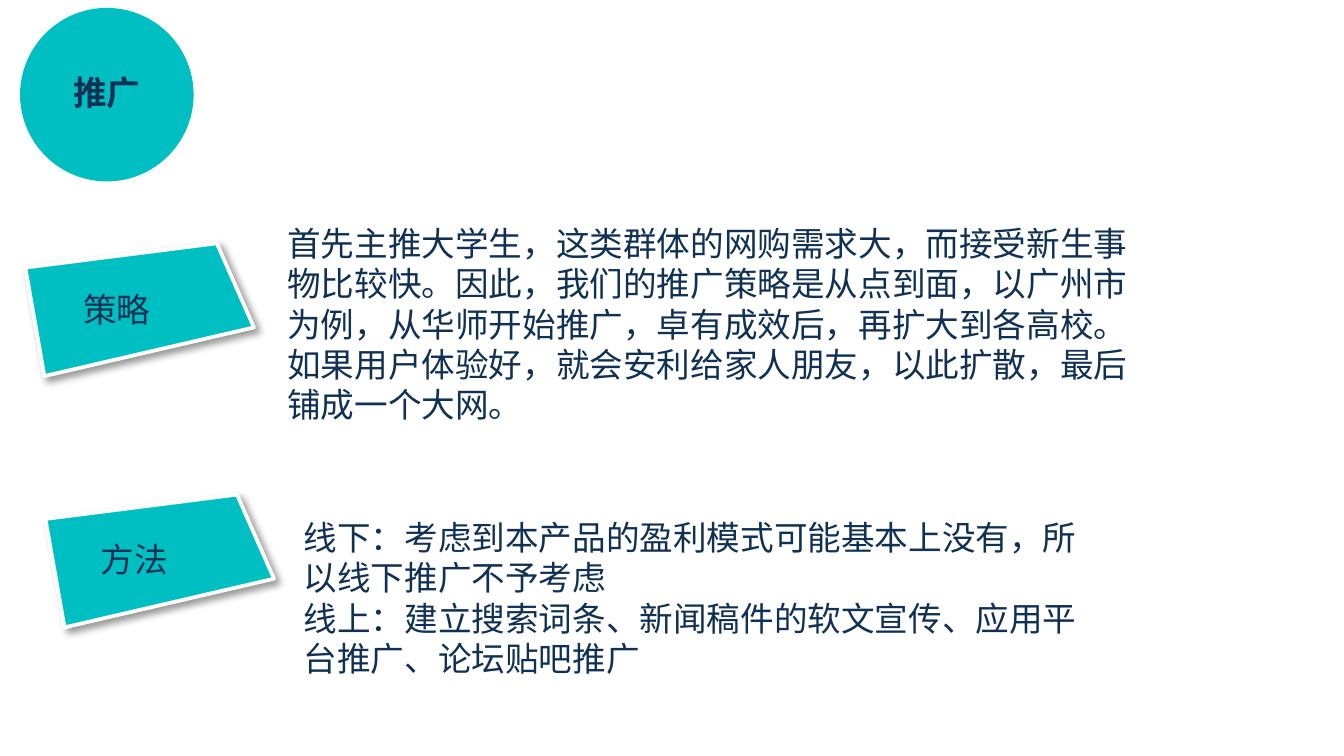
from lxml import etree
from pptx import Presentation
from pptx.dml.color import RGBColor
from pptx.enum.shapes import MSO_SHAPE
from pptx.enum.text import MSO_ANCHOR, PP_ALIGN
from pptx.oxml.ns import qn
from pptx.util import Cm, Pt

# Content: positions and sizes in cm
COLORS = {"teal": "00BFC3", "navy": "103154", "white": "FFFFFF", "black": "000000"}
TITLE = "推广"
ROWS = [
    {"tag": (0.48, 4.6), "name": "策略", "label": (1.32, 5.33, 2.34, 1.02),
     "body": (5.18, 4.09, 16.56, 4.11),
     "lines": ["首先主推大学生，这类群体的网购需求大，而接受新生事物比较快。"
               "因此，我们的推广策略是从点到面，以广州市为例，从华师开始推广，"
               "卓有成效后，再扩大到各高校。如果用户体验好，就会安利给家人朋友，"
               "以此扩散，最后铺成一个大网。"]},
    {"tag": (0.86, 9.35), "name": "方法", "label": (1.65, 10.06, 2.44, 1.02),
     "body": (5.49, 9.65, 15.11, 3.33),
     "lines": ["线下：考虑到本产品的盈利模式可能基本上没有，所以线下推广不予考虑",
               "线上：建立搜索词条、新闻稿件的软文宣传、应用平台推广、论坛贴吧推广"]},
]
OUTLINE = [(0, 0.46), (3.62, 0), (4.32, 1.59), (0.36, 2.51)]


def color(name):
    return RGBColor.from_string(COLORS[name])


def paint(shape):
    shape.shadow.inherit = False
    shape.fill.solid()
    shape.fill.fore_color.rgb = color("teal")


def write(frame, lines, face="Quicksand", bold=False):
    frame.word_wrap = True
    frame.text = "\n".join(lines)
    for para in frame.paragraphs:
        font = para.font
        font.name, font.size, font.bold = face, Pt(18), bold
        font.color.rgb = color("navy")


def add_text(slide, box, lines):
    write(slide.shapes.add_textbox(*map(Cm, box)).text_frame, lines)


def add_shadow(shape):
    effects = shape._element.spPr.find(qn("a:effectLst"))
    outer = etree.SubElement(effects, qn("a:outerShdw"), blurRad=str(Pt(4)),
                             dist=str(Pt(3)), dir=str(45 * 60000),
                             algn="tl", rotWithShape="0")
    tint = etree.SubElement(outer, qn("a:srgbClr"), val=COLORS["black"])
    etree.SubElement(tint, qn("a:alpha"), val="40000")


def add_tag(slide, left, top):
    points = [(Cm(left + x), Cm(top + y)) for x, y in OUTLINE]
    pen = slide.shapes.build_freeform(*points[0])
    pen.add_line_segments(points[1:], close=True)
    tag = pen.convert_to_shape()
    paint(tag)
    tag.line.color.rgb = color("white")
    tag.line.width = Pt(2)
    add_shadow(tag)


deck = Presentation()
deck.slide_width, deck.slide_height = Cm(25.4), Cm(14.29)
slide = deck.slides.add_slide(deck.slide_layouts[6])

# Title circle
circle = slide.shapes.add_shape(MSO_SHAPE.OVAL, Cm(0.38), Cm(0.15), Cm(3.28), Cm(3.28))
paint(circle)
circle.line.fill.background()
frame = circle.text_frame
write(frame, [TITLE], "Calibri", True)
frame.vertical_anchor = MSO_ANCHOR.MIDDLE
frame.paragraphs[0].alignment = PP_ALIGN.CENTER
frame.paragraphs[0].line_spacing = 0.9

# Tagged rows
for row in ROWS:
    add_tag(slide, *row["tag"])
    add_text(slide, row["label"], [row["name"]])
    add_text(slide, row["body"], row["lines"])

deck.save("out.pptx")
